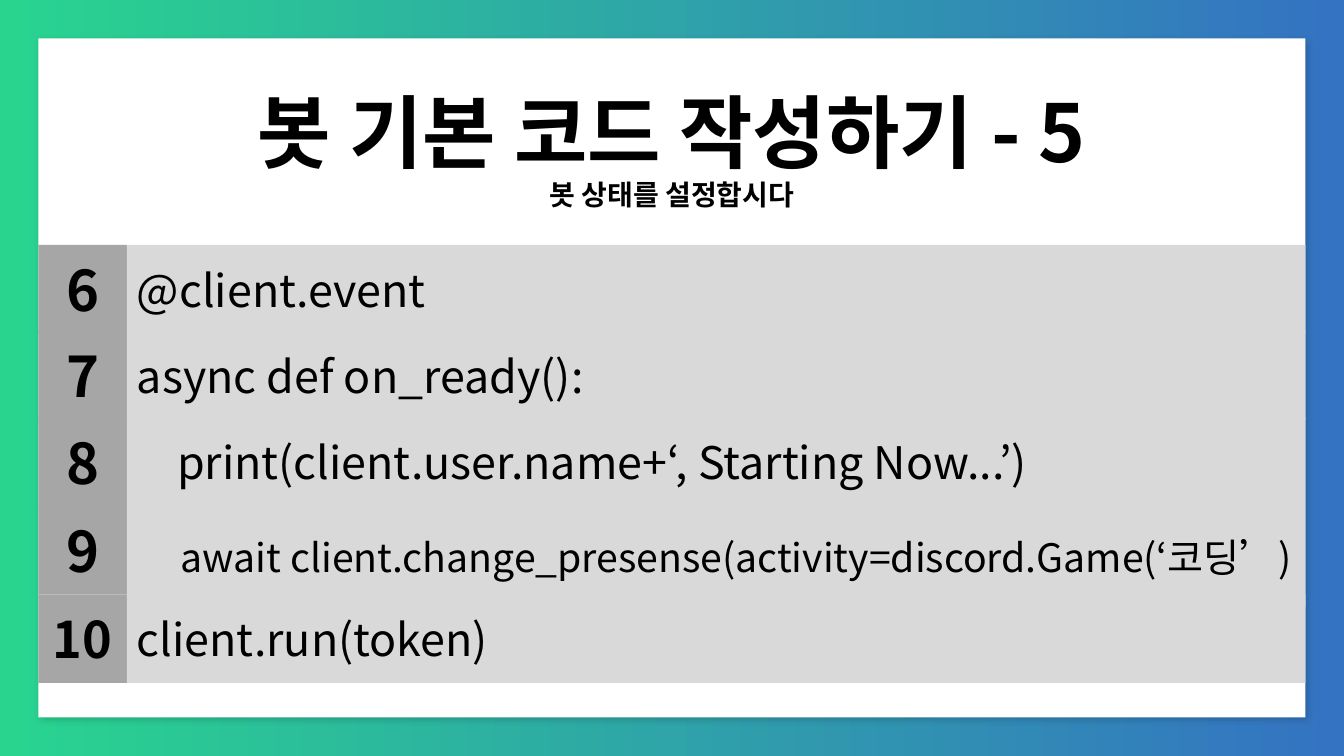
import dataclasses

import pptx
import pptx.dml.color
import pptx.enum.shapes
import pptx.enum.text
import pptx.oxml
import pptx.oxml.ns
import pptx.util

Pt = pptx.util.Pt
ALIGN = pptx.enum.text.PP_ALIGN
ANCHOR = pptx.enum.text.MSO_ANCHOR


@dataclasses.dataclass(frozen=True)
class Theme:
    font: str = "Noto Sans CJK KR"
    ink: str = "000000"
    panel: str = "FFFFFF"
    gutter: str = "A6A6A6"
    code_row: str = "D9D9D9"
    gradient: tuple = ("29D48F", "3473C2")
    title_size: float = 57
    subtitle_size: float = 20
    number_size: float = 40
    wide_number_size: float = 36
    code_size: float = 32
    long_code_size: float = 28


def rgb(value):
    return pptx.dml.color.RGBColor.from_string(value)


def write(sp, text, *, font, size, color, bold=False, align=ALIGN.LEFT,
          anchor=ANCHOR.MIDDLE, spacing=None):
    tf = sp.text_frame
    tf.word_wrap = True
    tf.vertical_anchor = anchor
    p = tf.paragraphs[0]
    p.alignment = align
    p.line_spacing = spacing
    r = p.add_run()
    r.text = text
    r.font.name = font
    r.font.size = Pt(size)
    r.font.bold = bold
    r.font.color.rgb = rgb(color)
    # Hangul uses the East Asian font slot, which has no public setter.
    latin = r.font._element.find(pptx.oxml.ns.qn("a:latin"))
    latin.addnext(pptx.oxml.parse_xml(
        f'<a:ea {pptx.oxml.ns.nsdecls("a")} typeface="{font}"/>'))


class Deck:
    def __init__(self, slide, theme):
        self.s = slide
        self.theme = theme

    def background(self):
        fill = self.s.background.fill
        fill.gradient()
        fill.gradient_angle = 0
        for stop, color in zip(fill.gradient_stops, self.theme.gradient):
            stop.color.rgb = rgb(color)

    def rect(self, left, top, width, height, color):
        sp = self.s.shapes.add_shape(
            pptx.enum.shapes.MSO_SHAPE.RECTANGLE,
            Pt(left), Pt(top), Pt(width), Pt(height))
        sp.shadow.inherit = False
        sp.fill.solid()
        sp.fill.fore_color.rgb = rgb(color)
        sp.line.fill.background()
        return sp

    def panel(self, left, top, width, height):
        """Draw the white card with its soft shadow."""
        sp = self.rect(left, top, width, height, self.theme.panel)
        effects = sp._element.spPr.find(pptx.oxml.ns.qn("a:effectLst"))
        effects.append(pptx.oxml.parse_xml(
            f'<a:outerShdw {pptx.oxml.ns.nsdecls("a")} blurRad="{Pt(5)}" '
            f'dist="{Pt(3)}" dir="2700000" algn="tl" rotWithShape="0">'
            '<a:srgbClr val="000000"><a:alpha val="17000"/></a:srgbClr>'
            '</a:outerShdw>'))

    def heading(self, text, left, top, width, height, size, anchor):
        sp = self.s.shapes.add_textbox(Pt(left), Pt(top), Pt(width), Pt(height))
        write(sp, text, font=self.theme.font, size=size, color=self.theme.ink,
              bold=True, align=ALIGN.CENTER, anchor=anchor, spacing=0.9)

    def code_line(self, number, code, left, top, width, number_size, code_size,
                  height):
        """Draw one row: a square line number and the code beside it."""
        t = self.theme
        side = 63.2
        sp = self.rect(left, top, side, side, t.gutter)
        write(sp, str(number), font=t.font, size=number_size, color=t.ink,
              bold=True, align=ALIGN.CENTER)
        sp = self.rect(left + side, top, width - side, height, t.code_row)
        write(sp, code, font=t.font, size=code_size, color=t.ink)


def main():
    prs = pptx.Presentation()
    prs.slide_width, prs.slide_height = Pt(960), Pt(540)
    t = Theme()
    deck = Deck(prs.slides.add_slide(prs.slide_layouts[6]), t)
    left, width = 27.5, 905

    deck.background()
    deck.panel(left, 27.5, width, 485)
    deck.heading("봇 기본 코드 작성하기 - 5", left, 54.7, width, 85.7,
                 t.title_size, ANCHOR.MIDDLE)
    deck.heading("봇 상태를 설정합시다", left, 126, width, 31.7,
                 t.subtitle_size, ANCHOR.TOP)

    rows = [
        (175, 63.2, t.number_size, t.code_size, "@client.event"),
        (236.5, 63.2, t.number_size, t.code_size, "async def on_ready():"),
        (298.3, 63.2, t.number_size, t.code_size,
         "    print(client.user.name+‘, Starting Now...’)"),
        (361.5, 72, t.number_size, t.long_code_size,
         "     await client.change_presense(activity=discord.Game(‘코딩’)"),
        (424.7, 63.2, t.wide_number_size, t.code_size, "client.run(token)"),
    ]
    for number, (top, height, number_size, code_size, code) in enumerate(rows, 6):
        deck.code_line(number, code, left, top, width, number_size, code_size,
                       height)
    prs.save("out.pptx")


if __name__ == "__main__":
    main()
